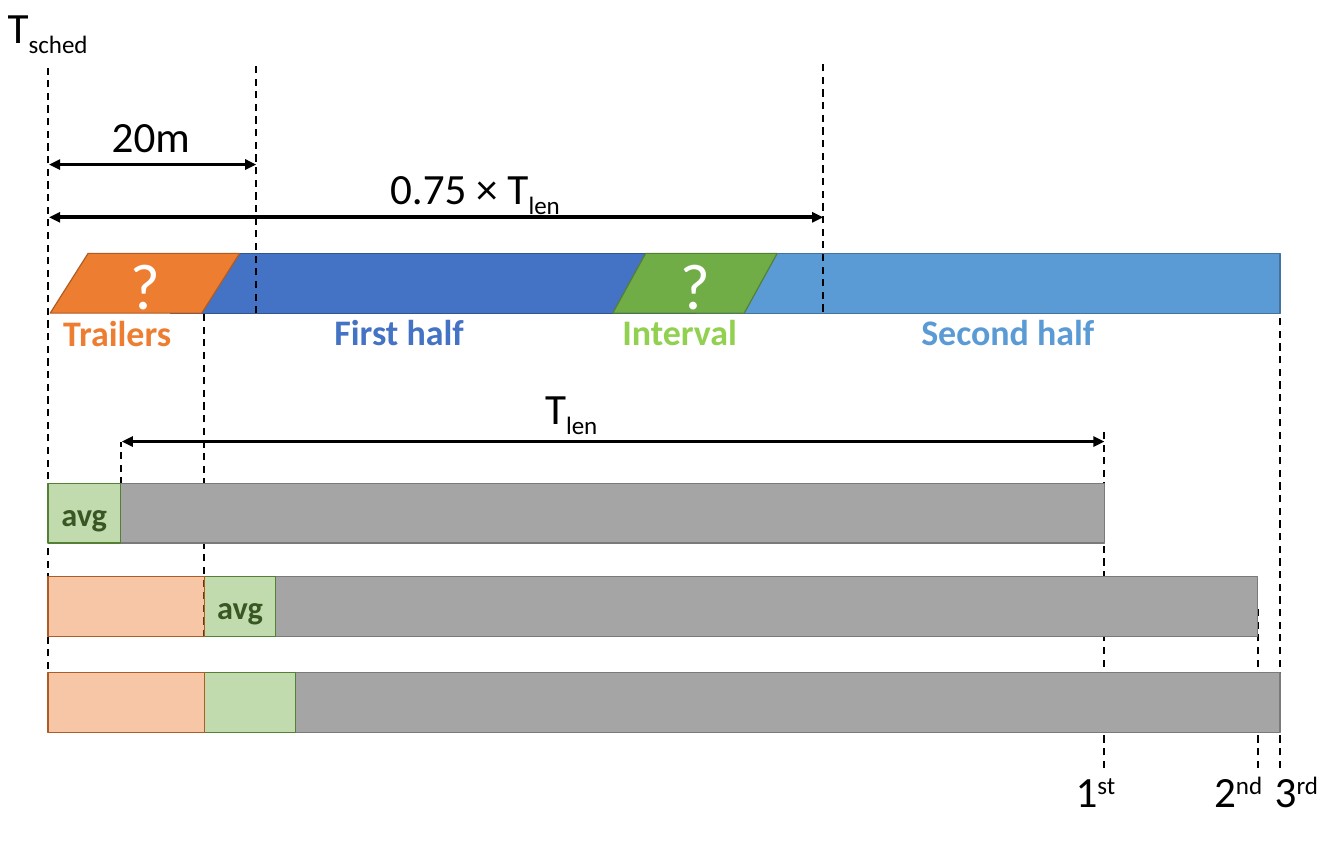
from lxml import etree
from pptx import Presentation
from pptx.dml.color import RGBColor
from pptx.enum.dml import MSO_LINE
from pptx.enum.shapes import MSO_CONNECTOR, MSO_SHAPE
from pptx.enum.text import MSO_ANCHOR, MSO_AUTO_SIZE, PP_ALIGN
from pptx.oxml.ns import qn
from pptx.util import Pt

RECT = MSO_SHAPE.RECTANGLE
SLANT = MSO_SHAPE.FLOWCHART_DATA
STRAIGHT = MSO_CONNECTOR.STRAIGHT
DASH = MSO_LINE.DASH
MIDDLE = MSO_ANCHOR.MIDDLE
LEFT, CENTER = PP_ALIGN.LEFT, PP_ALIGN.CENTER
GROW = MSO_AUTO_SIZE.SHAPE_TO_FIT_TEXT

BLACK, WHITE, DARK = "000000", "FFFFFF", "385723"
LIME = "92D050"
# Each pair is fill and outline
ORANGE = ("ED7D31", "AF5C24")
GREEN = ("70AD47", "538035")
BLUE = ("4472C4", "325491")
SKY = ("5B9BD5", "43739E")
GREY = ("A5A5A5", "7A7A7A")


def color(code):
    """Turn a hex string into a colour."""
    return RGBColor.from_string(code)


class Board:
    """Holds the style and the current slide."""

    font = "Calibri"
    big, mid, small, mark = 35.9, 29.9, 26.9, 54

    def __init__(self, slide):
        """Keep the slide to draw on."""
        self.shapes = slide.shapes

    def style(self, para, size, code, bold=False, align=CENTER):
        """Set the font and alignment of a paragraph."""
        para.alignment = align
        font = para.font
        font.name, font.size, font.bold = self.font, Pt(size), bold
        font.color.rgb = color(code)

    def bar(self, left, right, top, tones, kind=RECT, alpha=None):
        """Draw one stretch of time as a bar."""
        bar = self.shapes.add_shape(
            kind, Pt(left), Pt(top), Pt(right - left), Pt(HIGH))
        bar.shadow.inherit = False
        bar.fill.solid()
        bar.fill.fore_color.rgb = color(tones[0])
        bar.line.color.rgb = color(tones[1])
        bar.line.width = Pt(1)
        if alpha:
            tone = bar._element.spPr.find(qn("a:solidFill"))[0]
            etree.SubElement(tone, qn("a:alpha"), val=str(alpha * 1000))
        return bar

    def caption(self, bar, text, size, code, bold=False):
        """Put centred text in a bar."""
        frame = bar.text_frame
        frame.margin_left = frame.margin_right = 0
        frame.margin_top = frame.margin_bottom = 0
        frame.vertical_anchor = MIDDLE
        frame.text = text
        self.style(frame.paragraphs[0], size, code, bold)

    def line(self, start, end, width):
        """Draw a plain black line between two points."""
        line = self.shapes.add_connector(
            STRAIGHT, *(Pt(n) for n in (*start, *end)))
        line.line.color.rgb = color(BLACK)
        line.line.width = Pt(width)
        etree.SubElement(line._element.spPr, qn("a:effectLst"))
        return line

    def guide(self, x, top, bottom):
        """Draw a dashed upright line."""
        self.line((x, bottom), (x, top), 1.5).line.dash_style = DASH

    def span(self, left, right, y):
        """Draw a level arrow with two heads."""
        line = self.line((left, y), (right, y), 3)
        outline = line._element.spPr.find(qn("a:ln"))
        for end in ("a:headEnd", "a:tailEnd"):
            etree.SubElement(outline, qn(end), type="triangle")

    def box(self, left, top, width, height, wrap):
        """Add an empty text box and return its paragraph."""
        box = self.shapes.add_textbox(
            Pt(left), Pt(top), Pt(width), Pt(height))
        frame = box.text_frame
        frame.word_wrap = wrap
        frame.auto_size = GROW
        return frame.paragraphs[0]

    def label(self, text, left, top, width, size, code=BLACK, bold=False):
        """Add a centred label."""
        para = self.box(left, top, width, size * 1.43, True)
        para.text = text
        self.style(para, size, code, bold)

    def term(self, text, tail, left, top, width, shift):
        """Add a term with a raised or lowered tail."""
        para = self.box(left, top, width, 51, False)
        self.style(para, self.big, BLACK, align=LEFT)
        para.add_run().text = text
        run = para.add_run()
        run.text = tail
        run._r.get_or_add_rPr().set("baseline", str(shift * 1000))


# Moments across the slide
START, AVG, TRAIL, TWENTY, PAUSE = 40, 100, 170, 213, 246
QUARTER, FIRST, SECOND, THIRD = 684.7, 918.7, 1046.3, 1065
# Rows down the slide
HIGH, FILM, FOOT = 49.7, 210.7, 638.6
ROWS = (401.8, 479.5, 559.4)
SUB, SUPER = -25, 30

deck = Presentation()
deck.slide_width, deck.slide_height = Pt(1118.16), Pt(708.48)
board = Board(deck.slides.add_slide(deck.slide_layouts[6]))

# Guides behind the bars
for x, top, bottom in ((TRAIL, 261.4, 530), (FIRST, 359.3, FOOT),
                       (AVG + 0.8, 367.2, 445), (THIRD, 209.5, FOOT),
                       (SECOND, 504.7, FOOT)):
    board.guide(x, top, bottom)

# The show as it runs
board.bar(579, THIRD, FILM, SKY)
board.bar(142, 579, FILM, BLUE)
for left, right, tones in ((41.8, 199.4, ORANGE), (509.8, 646.6, GREEN)):
    part = board.bar(left, right, FILM, tones, SLANT)
    board.caption(part, "?", board.mark, WHITE)
for text, left, top, width, code in (
        ("Trailers", 28, 254.9, 139, ORANGE[0]),
        ("First half", 154, 254, 356, BLUE[0]),
        ("Interval", 494, 254, 143, LIME),
        ("Second half", 617, 254, 443, SKY[0])):
    board.label(text, left, top, width, board.mid, code, True)

# Guides in front of the show
for x, top, bottom in ((START - 0.3, 54, 609), (TWENTY, 52.6, 260.6),
                       (QUARTER, 49, 259.2)):
    board.guide(x, top, bottom)

# Three estimates: trailers, interval, film
for top, begin, film, end in zip(ROWS, (START, TRAIL, TRAIL),
                                 (AVG, 229.5, PAUSE),
                                 (FIRST, SECOND, THIRD)):
    board.bar(film, end, top, GREY)
    gap = board.bar(begin, film, top, GREEN, alpha=43)
    if film != PAUSE:
        board.caption(gap, "avg", board.small, DARK, True)
    if begin == TRAIL:
        board.bar(START, begin, top, ORANGE, alpha=43)

# Measures
for left, right, y in ((START + 1, TWENTY, 136.8),
                       (START + 1, QUARTER, 180.7),
                       (AVG + 1.5, FIRST, 367.2)):
    board.span(left, right, y)
board.label("20m", 41, 87.8, 169, board.big)
for text, tail, left, top, width, shift in (
        ("T", "sched", -0.7, -3.6, 86.4, SUB),
        ("0.75 × T", "len", 317.5, 130.3, 161.3, SUB),
        ("T", "len", 446.4, 313.2, 62.6, SUB),
        ("1", "st", 887.8, 632.2, 50.4, SUPER),
        ("2", "nd", 1003, 632.2, 58.3, SUPER),
        ("3", "rd", 1053.4, 632.2, 54, SUPER)):
    board.term(text, tail, left, top, width, shift)

deck.save("out.pptx")
